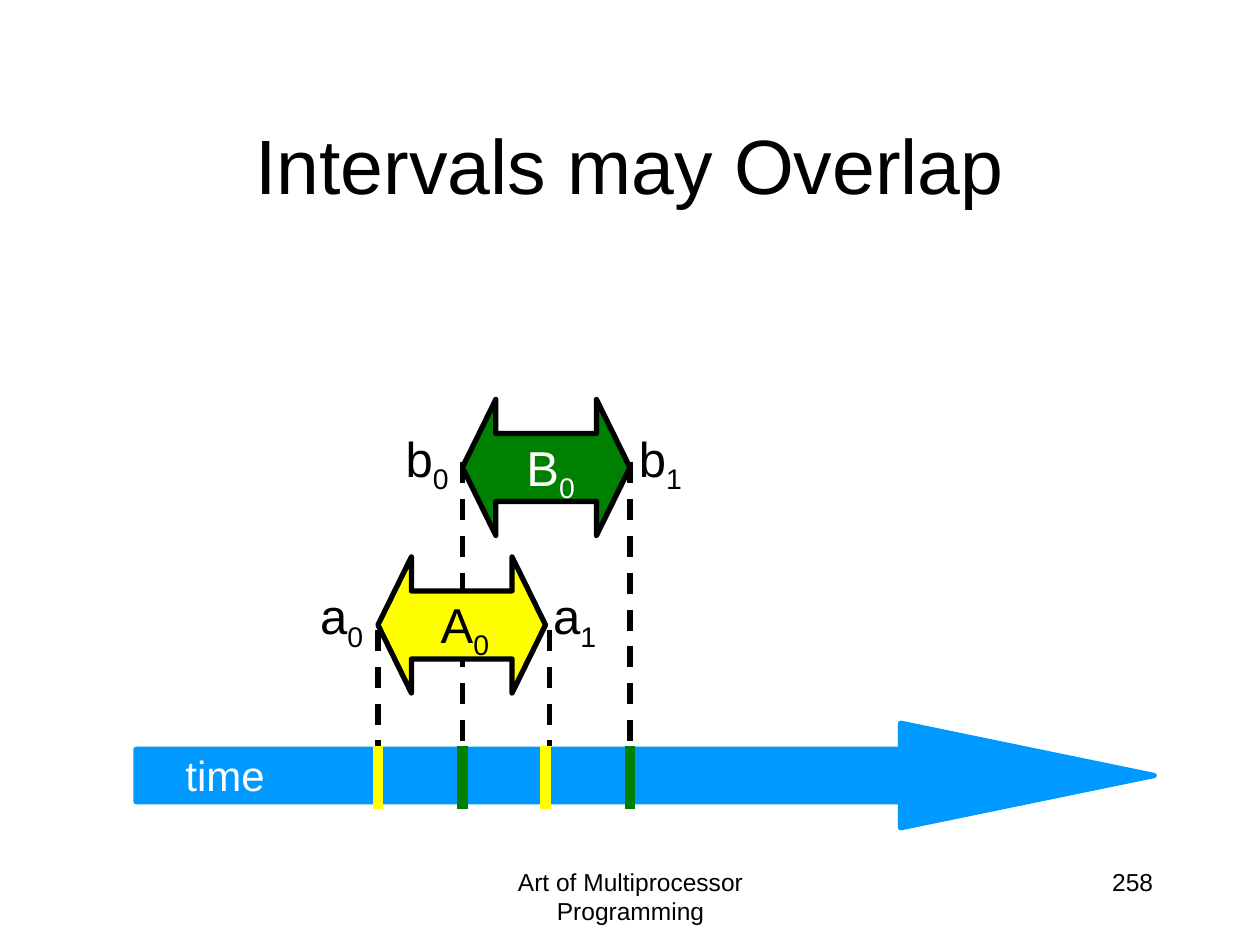
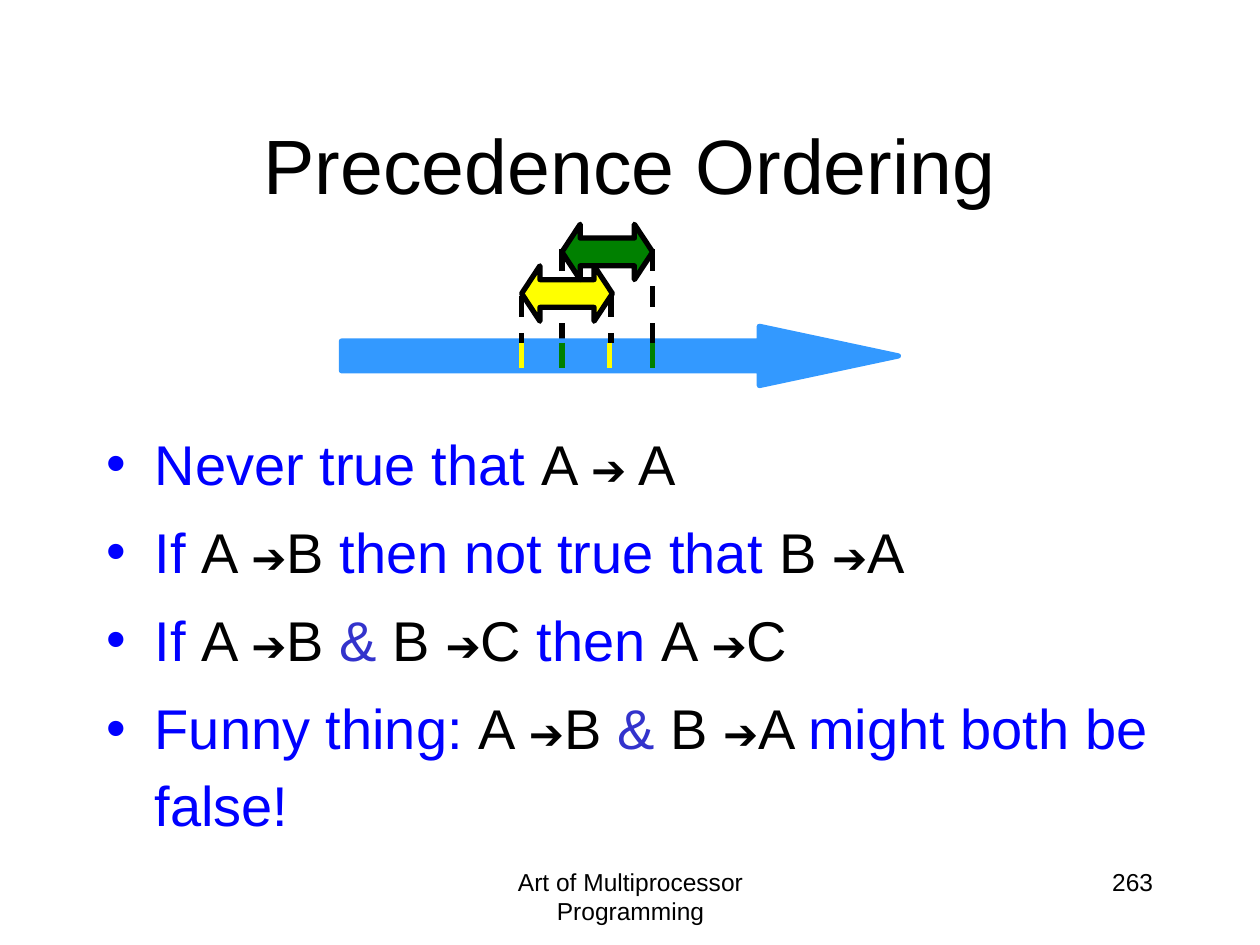
import pptx
import pptx.util
import pptx.dml.color
import pptx.enum.dml
import pptx.enum.shapes
import pptx.enum.text
import lxml.etree
from pptx.oxml.ns import qn

PX = 9144  # one px is a hundredth of an inch
FONT = "Arial"
INK = {
    "black": "000000", "white": "FFFFFF", "blue": "0000FF", "link": "3333CC",
    "yellow": "FFFF00", "green": "008000", "sky": "0099FF", "azure": "3399FF",
}
RGB = {name: pptx.dml.color.RGBColor.from_string(code) for name, code in INK.items()}
ALIGN = pptx.enum.text.PP_ALIGN
SHAPE = pptx.enum.shapes.MSO_SHAPE


def write(slide, box, lines, align=ALIGN.LEFT, wrap=False):
    """Add a text box; every line is a list of (text, size, colour, baseline)."""
    label = slide.shapes.add_textbox(*[n * PX for n in box])
    frame = label.text_frame
    frame.word_wrap = wrap
    for i, runs in enumerate(lines):
        para = frame.paragraphs[0] if i == 0 else frame.add_paragraph()
        para.alignment = align
        for text, size, colour, base in runs:
            run = para.add_run()
            run.text = text
            run.font.name = FONT
            run.font.size = pptx.util.Pt(size)
            run.font.color.rgb = RGB[colour]
            if base:
                run._r.get_or_add_rPr().set("baseline", str(base))
    return frame


def rule(slide, x, top, end, colour, width, dash=False):
    """Draw an upright line from top to end."""
    line = slide.shapes.add_connector(
        pptx.enum.shapes.MSO_CONNECTOR.STRAIGHT, x * PX, top * PX, x * PX, end * PX)
    line.line.color.rgb = RGB[colour]
    line.line.width = pptx.util.Pt(width)
    if dash:
        line.line.dash_style = pptx.enum.dml.MSO_LINE.DASH
    lxml.etree.SubElement(line._element.spPr, qn("a:effectLst"))


deck = pptx.Presentation()
deck.slide_width, deck.slide_height = 1000 * PX, 750 * PX

# Spans: colour, arrow box, x of the two ticks, x of the two dashes, top of dashes
scenes = [
    {"title": "Intervals may Overlap", "page": "258",
     "bar": (108, 574, 808, 83), "tint": "sky", "head": 2.425,
     "tick": (592, 642, 6), "tip": 0.246,
     "spans": [("yellow", (300, 442, 133, 108), (300, 433), (300, 436), 500),
               ("green", (367, 317, 133, 108), (367, 500), (367, 500), 367)]},
    {"title": "Precedence Ordering", "page": "263",
     "bar": (271, 259, 442, 47), "tint": "azure", "head": 2.347,
     "tick": (272, 292, 3), "tip": 0.33,
     "spans": [("yellow", (414, 211, 72, 44), (414, 484), (414, 485), 235),
               ("green", (446, 178, 72, 44), (446, 518), (446, 518), 198)]},
]

for scene in scenes:
    slide = deck.slides.add_slide(deck.slide_layouts[6])

    # Title and footer
    title = write(slide, (75, 67, 850, 125), [[(scene["title"], 44, "black", 0)]],
                  ALIGN.CENTER, True)
    title.vertical_anchor = pptx.enum.text.MSO_ANCHOR.MIDDLE
    write(slide, (342, 683, 317, 50),
          [[("Art of Multiprocessor Programming", 14, "black", 0)]], ALIGN.CENTER, True)
    write(slide, (717, 683, 208, 50), [[(scene["page"], 14, "black", 0)]],
          ALIGN.RIGHT, True)

    # Dash behind the time bar, then the bar
    top, end, width = scene["tick"]
    early, late = scene["spans"]
    rule(slide, late[3][0], late[4], end, "black", 3, True)
    bar = slide.shapes.add_shape(SHAPE.RIGHT_ARROW, *[n * PX for n in scene["bar"]])
    bar.adjustments[0], bar.adjustments[1] = 0.5, scene["head"]
    bar.shadow.inherit = False
    bar.fill.solid()
    bar.fill.fore_color.rgb = bar.line.color.rgb = RGB[scene["tint"]]
    bar.line.width = pptx.util.Pt(3)
    for x in early[3]:
        rule(slide, x, early[4], top, "black", 3, True)

    # Interval arrows and their ticks
    for colour, box, ticks, dashes, start in scene["spans"]:
        span = slide.shapes.add_shape(SHAPE.LEFT_RIGHT_ARROW, *[n * PX for n in box])
        span.adjustments[0], span.adjustments[1] = 0.5, scene["tip"]
        span.shadow.inherit = False
        span.fill.solid()
        span.fill.fore_color.rgb = RGB[colour]
        span.line.color.rgb = RGB["black"]
        span.line.width = pptx.util.Pt(3)
        if colour == "green":
            rule(slide, dashes[1], start, end, "black", 3, True)
        for x in ticks:
            rule(slide, x, top, end, colour, width)

# Labels on the first slide
first, second = deck.slides
write(first, (136, 590, 84, 51), [[("time", 24, "white", 0)]], ALIGN.RIGHT)
for name, colour, left, top in (("a", "black", 240, 460), ("b", "white", 308, 335)):
    labels = [(name, "0", "black", 0, 0, 58), (name, "1", "black", 186, 0, 57),
              (name.upper(), "0", colour, 96, 7, 62)]
    for letter, sub, ink, dx, dy, wide in labels:
        write(first, (left + dx, top + dy, wide, 57),
              [[(letter, 28, ink, 0), (sub, 28, ink, -25000)]], ALIGN.RIGHT)

# Bullets on the second slide: short pieces are formulas
points = [
    "Never true that |A |➔| A",
    "If |A |➔|B |then not true that |B |➔|A",
    "If |A |➔|B |& |B |➔|C |then |A |➔|C",
    "Funny thing: |A |➔|B |& |B |➔|A |might both be false!",
]
lines = []
for point in points:
    runs = []
    for piece in point.split("|"):
        ink = "link" if piece == "& " else "black" if len(piece) < 3 else "blue"
        runs.append((piece, 24 if piece == "➔" else 32, ink, 0))
    lines.append(runs)
body = write(second, (75, 332, 850, 308), lines, wrap=True)
body.margin_top = PX
for i, para in enumerate(body.paragraphs):
    para.line_spacing = pptx.util.Pt(44)
    para.space_before = pptx.util.Pt(6.4 if i else 0)
    props = para._p.get_or_add_pPr()
    props.set("marL", str(38 * PX))
    props.set("indent", str(-38 * PX))
    lxml.etree.SubElement(props, qn("a:buFont")).set("typeface", FONT)
    lxml.etree.SubElement(props, qn("a:buChar")).set("char", "•")

deck.save("out.pptx")
